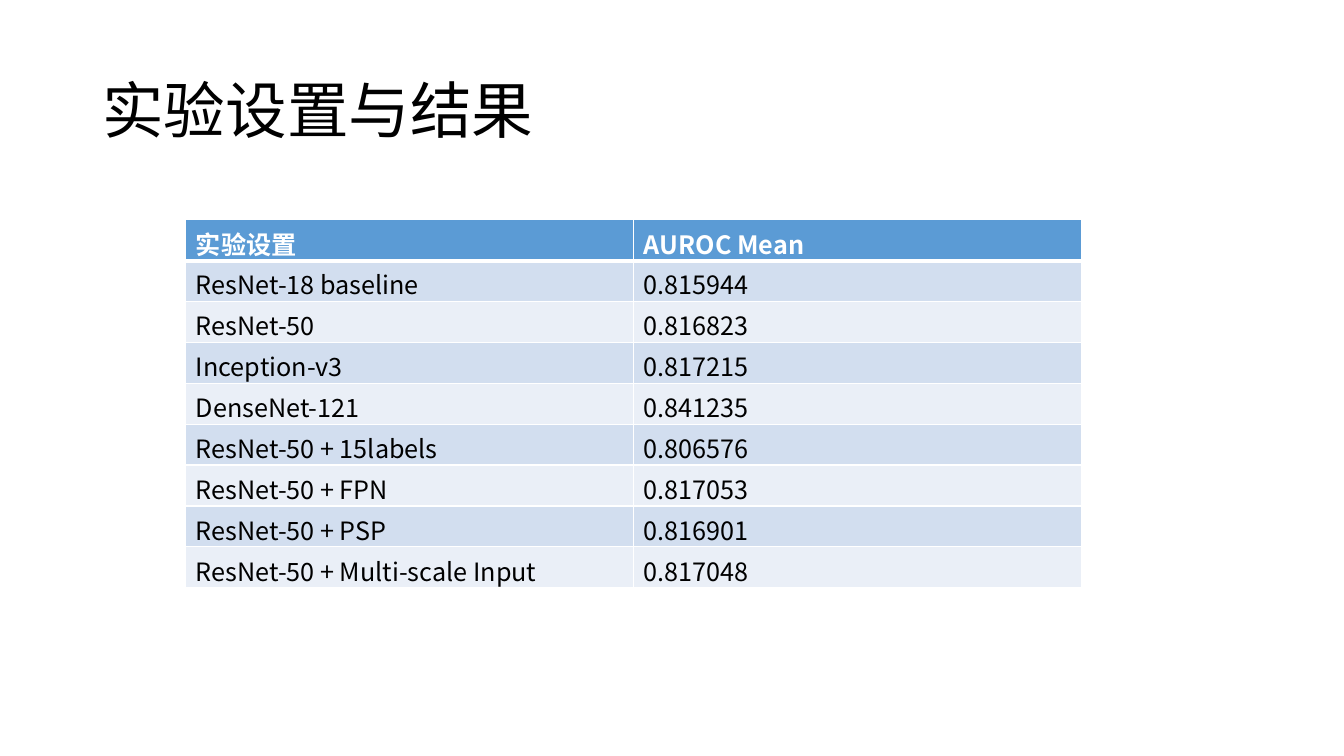
import pptx
import pptx.dml.color
import pptx.enum.text
import pptx.oxml
import pptx.oxml.ns
import pptx.util

Pt = pptx.util.Pt
FONT = "Noto Sans CJK SC"
COLORS = {
    "black": "000000",
    "white": "FFFFFF",
    "header": "5B9BD5",
    "odd_row": "D2DEEF",
    "even_row": "EAEFF7",
}
HEADINGS = ("实验设置", "AUROC Mean")
RESULTS = (
    ("ResNet-18 baseline", "0.815944"),
    ("ResNet-50", "0.816823"),
    ("Inception-v3", "0.817215"),
    ("DenseNet-121", "0.841235"),
    ("ResNet-50 + 15labels", "0.806576"),
    ("ResNet-50 + FPN", "0.817053"),
    ("ResNet-50 + PSP", "0.816901"),
    ("ResNet-50 + Multi-scale Input", "0.817048"),
)


def rgb(name):
    return pptx.dml.color.RGBColor.from_string(COLORS[name])


def write_text(text_frame, text, size=18, color="black", bold=False, line_spacing=None):
    paragraph = text_frame.paragraphs[0]
    paragraph.line_spacing = line_spacing
    run = paragraph.add_run()
    run.text = text
    run.font.name = FONT
    run.font.size = Pt(size)
    run.font.bold = bold
    run.font.color.rgb = rgb(color)
    east_asian = pptx.oxml.parse_xml(
        f'<a:ea {pptx.oxml.ns.nsdecls("a")} typeface="{FONT}"/>'
    )
    run.font._element.find(pptx.oxml.ns.qn("a:latin")).addnext(east_asian)


def set_borders(cell, **widths):
    properties = cell._tc.get_or_add_tcPr()
    for side in "LRTB":
        properties.append(pptx.oxml.parse_xml(
            f'<a:ln{side} {pptx.oxml.ns.nsdecls("a")} w="{Pt(widths.get(side, 1))}">'
            f'<a:solidFill><a:srgbClr val="{COLORS["white"]}"/></a:solidFill>'
            f'</a:ln{side}>'
        ))


def add_title(slide, left, top, width, height):
    shape = slide.shapes.add_textbox(Pt(left), Pt(top), Pt(width), Pt(height))
    shape.text_frame.word_wrap = True
    shape.text_frame.vertical_anchor = pptx.enum.text.MSO_ANCHOR.MIDDLE
    write_text(shape.text_frame, "实验设置与结果", size=44, line_spacing=0.9)


def add_results_table(slide, left, top, width, height):
    rows = (HEADINGS, *RESULTS)
    table = slide.shapes.add_table(
        len(rows), len(HEADINGS), Pt(left), Pt(top), Pt(width), Pt(height)
    ).table
    for row_index, row in enumerate(rows):
        is_header = row_index == 0
        fill = "header" if is_header else "odd_row" if row_index % 2 else "even_row"
        for column_index, text in enumerate(row):
            cell = table.cell(row_index, column_index)
            set_borders(
                cell,
                T=3 if row_index == 1 else 1,
                B=3 if is_header else 1,
            )
            cell.fill.solid()
            cell.fill.fore_color.rgb = rgb(fill)
            write_text(
                cell.text_frame, text,
                color="white" if is_header else "black", bold=is_header,
            )


def main():
    presentation = pptx.Presentation()
    presentation.slide_width = Pt(960)
    presentation.slide_height = Pt(540)
    slide = presentation.slides.add_slide(presentation.slide_layouts[6])
    add_title(slide, 66, 28.75, 828, 104.4)
    add_results_table(slide, 132.75, 157, 640, 262.8)
    presentation.save("out.pptx")


if __name__ == "__main__":
    main()
